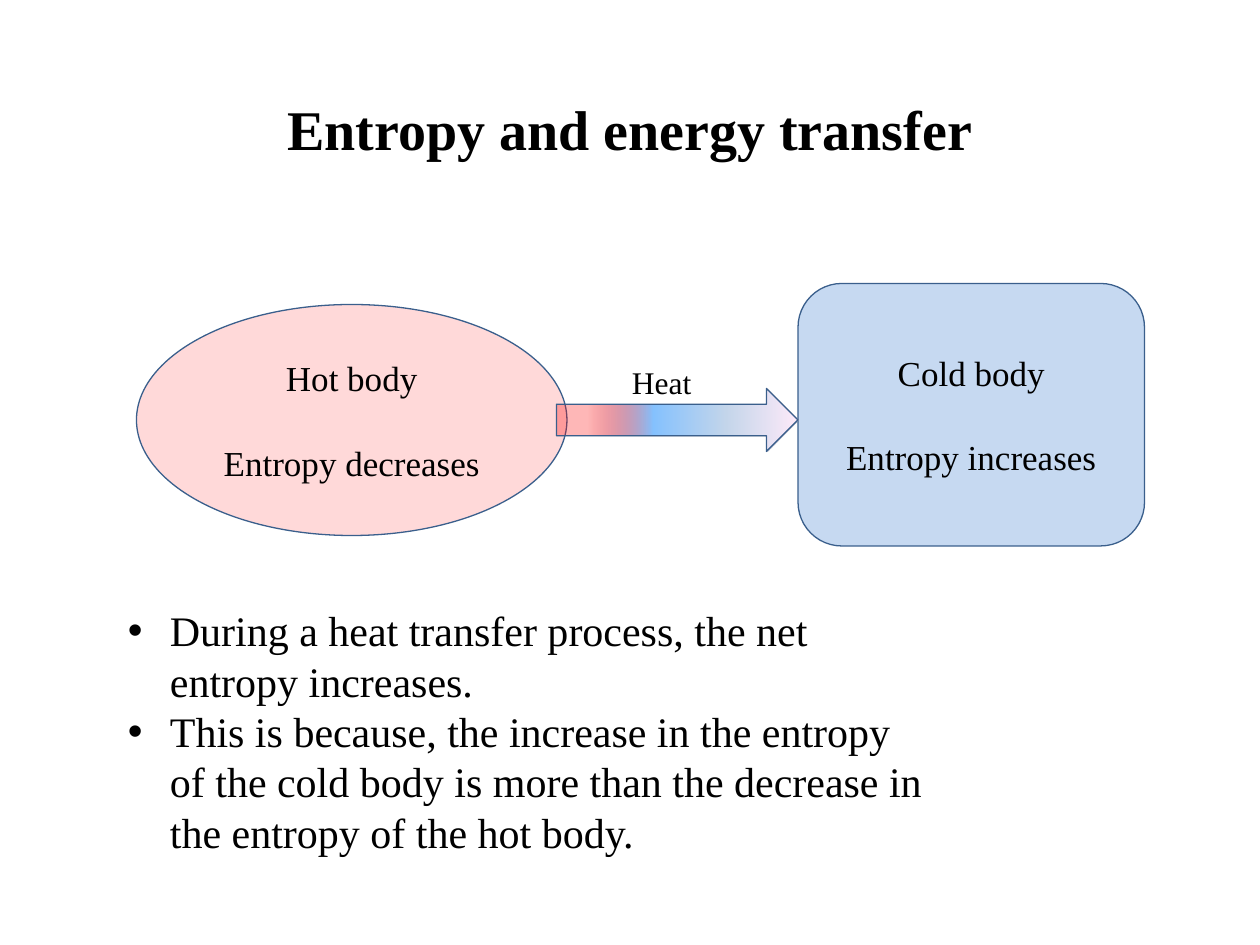
"""Build a slide on entropy change during heat transfer."""
from lxml import etree
from pptx import Presentation
from pptx.dml.color import RGBColor
from pptx.enum.shapes import MSO_SHAPE
from pptx.enum.text import MSO_ANCHOR, PP_ALIGN
from pptx.oxml.ns import qn
from pptx.util import Pt

FONT = "Times New Roman"
BLACK = RGBColor(0x00, 0x00, 0x00)
RED = RGBColor(0xFF, 0x00, 0x00)
ICE = RGBColor(0xC6, 0xD9, 0xF1)
OUTLINE = RGBColor(0x3A, 0x5F, 0x8C)
SKY = RGBColor(0x85, 0xC2, 0xFF)
MIST = RGBColor(0xC4, 0xD6, 0xEB)
BLUSH = RGBColor(0xFF, 0xEB, 0xFA)
HEAT_STOPS = [(13, RED, 28), (40, SKY, 100), (70, MIST, 100), (100, BLUSH, 100)]

OVAL = MSO_SHAPE.OVAL
ROUNDED = MSO_SHAPE.ROUNDED_RECTANGLE
ARROW = MSO_SHAPE.RIGHT_ARROW
MIDDLE = MSO_ANCHOR.MIDDLE
CENTER = PP_ALIGN.CENTER
LEFT = PP_ALIGN.LEFT

POINTS = [
    "During a heat transfer process, the net\ventropy increases.",
    "This is because, the increase in the entropy\v"
    "of the cold body is more than the decrease in\v"
    "the entropy of the hot body.",
]


def write(frame, lines, size, align=LEFT, bold=False, gap=0):
    frame.text = "\n".join(lines)
    for index, paragraph in enumerate(frame.paragraphs):
        paragraph.alignment = align
        paragraph.space_before = Pt(gap if index else 0)
        for run in paragraph.runs:
            run.font.name = FONT
            run.font.size = Pt(size)
            run.font.bold = bold
            run.font.color.rgb = BLACK


def add_text(slide, box, lines, size, wrap=True, **style):
    frame = slide.shapes.add_textbox(*map(Pt, box)).text_frame
    frame.word_wrap = wrap
    write(frame, lines, size, **style)
    return frame


def add_bullets(slide, box, lines, size, indent):
    frame = add_text(slide, box, lines, size)
    for paragraph in frame.paragraphs:
        properties = paragraph._p.get_or_add_pPr()
        properties.set("marL", str(Pt(indent)))
        properties.set("indent", str(-Pt(indent)))
        etree.SubElement(properties, qn("a:buFont"), typeface="Arial")
        etree.SubElement(properties, qn("a:buChar"), char="•")


def set_alpha(color, percent):
    etree.SubElement(color, qn("a:alpha"), val=str(percent * 1000))


def add_outlined(slide, kind, box):
    shape = slide.shapes.add_shape(kind, *map(Pt, box))
    shape.shadow.inherit = False
    shape.line.color.rgb = OUTLINE
    shape.line.width = Pt(0.75)
    return shape


def add_body(slide, kind, box, fill, lines, opacity=100):
    body = add_outlined(slide, kind, box)
    body.fill.solid()
    body.fill.fore_color.rgb = fill
    if opacity < 100:
        set_alpha(body._element.spPr.find(qn("a:solidFill"))[0], opacity)
    body.text_frame.vertical_anchor = MIDDLE
    write(body.text_frame, lines, 20, align=CENTER, gap=24)


def add_heat_arrow(slide, box, stops):
    arrow = add_outlined(slide, ARROW, box)
    arrow.fill.gradient()
    arrow.fill.gradient_angle = 0
    stop_list = arrow._element.spPr.find(qn("a:gradFill")).find(qn("a:gsLst"))
    for old in list(stop_list):
        stop_list.remove(old)
    for position, color, opacity in stops:
        stop = etree.SubElement(stop_list, qn("a:gs"), pos=str(position * 1000))
        tint = etree.SubElement(stop, qn("a:srgbClr"), val=str(color))
        if opacity < 100:
            set_alpha(tint, opacity)


def main():
    deck = Presentation()
    deck.slide_width, deck.slide_height = Pt(720), Pt(540)
    slide = deck.slides.add_slide(deck.slide_layouts[6])

    title = add_text(slide, (36, 48, 648, 70), ["Entropy and energy transfer"],
                     32, align=CENTER, bold=True)
    title.margin_top = Pt(6)
    add_body(slide, OVAL, (78, 174, 246, 132), RED,
             ["Hot body", "Entropy decreases"], opacity=15)
    add_body(slide, ROUNDED, (456, 162, 198, 150), ICE,
             ["Cold body", "Entropy increases"])
    add_heat_arrow(slide, (318, 222, 138, 36), HEAT_STOPS)
    add_text(slide, (354, 204, 49, 29), ["Heat"], 18, wrap=False)
    add_bullets(slide, (66, 342, 600, 153), POINTS, 24, 24)

    deck.save("out.pptx")


main()
